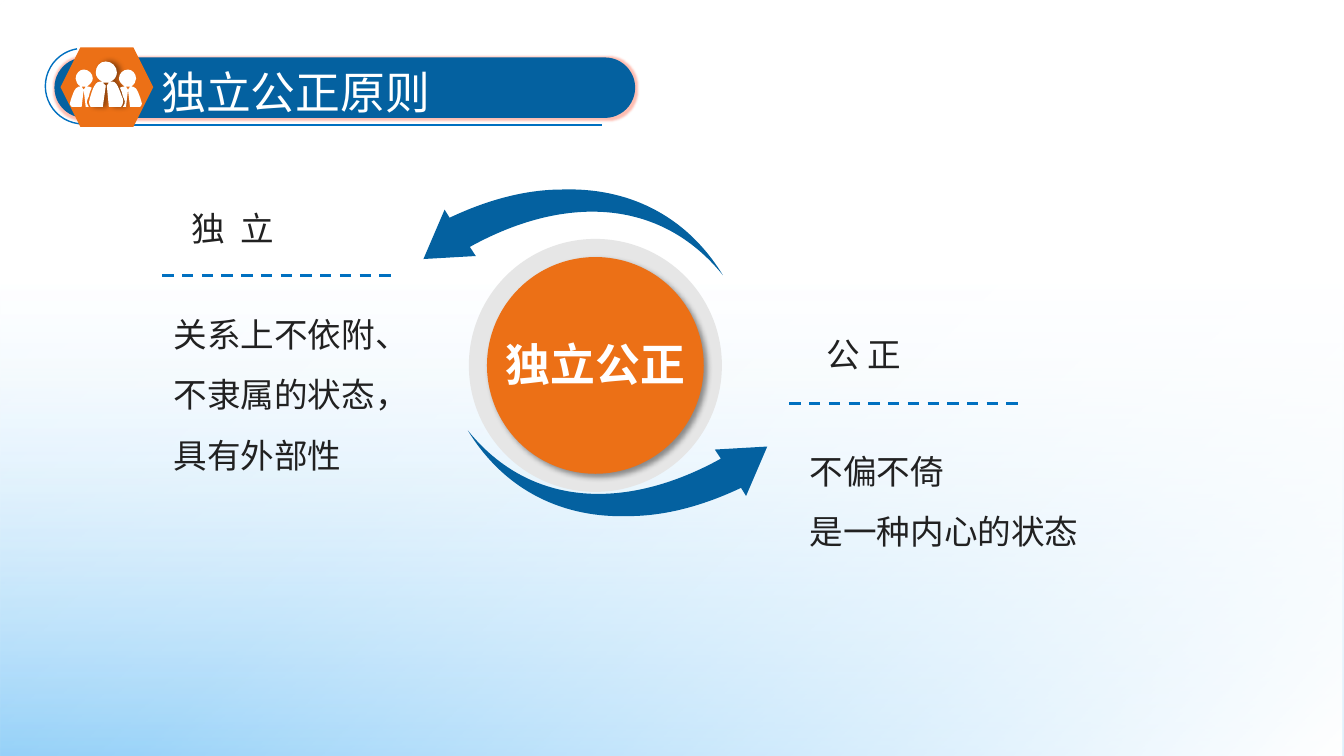
from dataclasses import dataclass

import pptx
import pptx.dml.color
import pptx.enum.dml
import pptx.enum.shapes
import pptx.enum.text
import pptx.oxml
import pptx.oxml.ns
import pptx.util
from pptx.util import Inches


@dataclass(frozen=True)
class Theme:
    blue: str = "0461A0"
    line_blue: str = "0070C0"
    sky: str = "67BDF6"
    orange: str = "EC7016"
    grey: str = "E6E6E6"
    white: str = "FFFFFF"
    ink: str = "212121"
    shade: str = "000000"
    glow: str = "FF5A3C"
    title_size: int = 32
    text_size: int = 24
    title_font: str = "Times New Roman"
    text_font: str = "Noto Sans CJK SC"


theme = Theme()
rgb = pptx.dml.color.RGBColor.from_string
qn = pptx.oxml.ns.qn
SHAPE = pptx.enum.shapes.MSO_SHAPE
ALIGN = pptx.enum.text.PP_ALIGN
NS = pptx.oxml.ns.nsdecls("a")


def paint(shape, colour, effect=""):
    """Give a flat fill without outline, and at most one effect."""
    shape.shadow.inherit = False
    shape.fill.solid()
    shape.fill.fore_color.rgb = rgb(colour)
    shape.line.fill.background()
    if effect:
        shape._element.spPr.find(qn("a:effectLst")).append(pptx.oxml.parse_xml(effect))


def reflect(outline, x_sum, y_sum=None):
    """Mirror an outline left to right, and also top to bottom when y_sum is given."""
    return [tuple(x_sum - value if place % 2 == 0 else value if y_sum is None else y_sum - value
                  for place, value in enumerate(segment)) for segment in outline]


soft_shadow = (
    f'<a:outerShdw {NS} blurRad="50800" dist="38100" dir="{{angle}}" algn="ctr" rotWithShape="0">'
    f'<a:srgbClr val="{theme.shade}"><a:alpha val="40000"/></a:srgbClr></a:outerShdw>')
pill_glow = (f'<a:glow {NS} rad="38100"><a:srgbClr val="{theme.glow}">'
             f'<a:alpha val="40000"/></a:srgbClr></a:glow>')

deck = pptx.Presentation()
deck.slide_width, deck.slide_height = Inches(13.33), Inches(7.5)
slide = deck.slides.add_slide(deck.slide_layouts.get_by_name("Comparison"))
shapes = slide.shapes
title, left_head, left_body, right_head, right_body = slide.placeholders

# Background washes: angle in degrees, then stops of position, colour and opacity
washes = [
    (90, [(0, theme.white, 0), (37, theme.white, 25), (100, theme.sky, 88)]),
    (45, [(0, theme.white, 0), (42, theme.white, 25), (100, theme.white, 100)]),
]
for angle, stops in washes:
    wash = shapes.add_shape(SHAPE.RECTANGLE, 0, 0, deck.slide_width, deck.slide_height)
    paint(wash, theme.white)
    stop_xml = "".join(
        f'<a:gs pos="{position * 1000}"><a:srgbClr val="{colour}">'
        f'<a:alpha val="{opacity * 1000}"/></a:srgbClr></a:gs>'
        for position, colour, opacity in stops)
    gradient = pptx.oxml.parse_xml(
        f'<a:gradFill {NS} rotWithShape="1"><a:gsLst>{stop_xml}</a:gsLst>'
        f'<a:lin ang="{angle * 60000}" scaled="0"/></a:gradFill>')
    properties = wash._element.spPr
    properties.replace(properties.find(qn("a:solidFill")), gradient)

# Straight rules: left, top, length, width, dashed
for x, y, length, width, dashed in [(0.83, 1.24, 5.14, 1, False),
                                    (1.61, 2.73, 2.29, 2, True),
                                    (7.83, 4, 2.29, 2, True)]:
    rule = shapes.add_connector(pptx.enum.shapes.MSO_CONNECTOR.STRAIGHT,
                                Inches(x), Inches(y), Inches(x + length), Inches(y))
    rule.line.color.rgb = rgb(theme.line_blue)
    rule.line.width = pptx.util.Pt(width)
    if dashed:
        rule.line.dash_style = pptx.enum.dml.MSO_LINE.DASH
    rule._element.spPr.append(pptx.oxml.parse_xml(f"<a:effectLst {NS}/>"))

# Title banner
bracket = shapes.add_shape(SHAPE.ARC, Inches(0.45), Inches(0.48), Inches(0.75), Inches(0.75))
bracket.adjustments[0], bracket.adjustments[1] = 53.91, 156.32
bracket.shadow.inherit = False
bracket.fill.background()
bracket.line.color.rgb = rgb(theme.line_blue)
bracket.line.width = pptx.util.Pt(1)

pill = shapes.add_shape(SHAPE.ROUNDED_RECTANGLE, Inches(0.54), Inches(0.57), Inches(5.76), Inches(0.6))
pill.adjustments[0] = 0.5
paint(pill, theme.blue, pill_glow)
badge = shapes.add_shape(SHAPE.HEXAGON, Inches(0.6), Inches(0.47), Inches(0.92), Inches(0.79))
paint(badge, theme.orange)

# Outlines: a pair is a corner, six numbers are two curve controls and an end
leader = [
    (1.22, 0.98), (1.2, 0.95, 1.17, 0.81, 1.12, 0.81), (1.09, 0.81),
    (1.13, 0.8, 1.16, 0.76, 1.16, 0.72), (1.16, 0.66, 1.11, 0.61, 1.05, 0.61),
    (0.99, 0.61, 0.95, 0.66, 0.95, 0.72), (0.95, 0.76, 0.98, 0.8, 1.02, 0.81),
    (0.99, 0.81), (0.93, 0.81, 0.9, 0.95, 0.89, 0.98), (0.87, 1.03, 0.9, 1.06, 0.9, 1.06),
    (1.02, 1.06), (1.05, 0.85), (1.02, 0.82), (1.08, 0.82), (1.06, 0.85), (1.08, 1.06),
    (1.2, 1.06), (1.2, 1.06, 1.23, 1.03, 1.22, 0.98)]
right_member = [
    (1.4, 1), (1.39, 0.97, 1.36, 0.86, 1.32, 0.86), (1.3, 0.86),
    (1.33, 0.84, 1.35, 0.81, 1.35, 0.78), (1.35, 0.73, 1.31, 0.69, 1.27, 0.69),
    (1.22, 0.69, 1.18, 0.73, 1.18, 0.78), (1.18, 0.81, 1.21, 0.84, 1.24, 0.86),
    (1.22, 0.86), (1.21, 0.86, 1.2, 0.86, 1.19, 0.87), (1.2, 0.9, 1.22, 0.93, 1.22, 0.96),
    (1.23, 0.98), (1.25, 1.02, 1.23, 1.04, 1.22, 1.06), (1.25, 1.06), (1.27, 0.89),
    (1.25, 0.86), (1.29, 0.86), (1.27, 0.89), (1.29, 1.06), (1.39, 1.06),
    (1.39, 1.06, 1.42, 1.04, 1.4, 1)]
top_arrow = [
    (5.58, 1.88), (6.2, 1.86, 6.79, 2.11, 7.17, 2.73), (6.54, 1.95, 5.58, 1.94, 4.66, 2.45),
    (4.72, 2.54), (4.2, 2.57), (4.41, 2.08), (4.46, 2.16),
    (4.82, 1.99, 5.2, 1.88, 5.58, 1.88)]

for outline, colour, effect in [(leader, theme.white, soft_shadow.format(angle=0)),
                                (reflect(right_member, 2.1), theme.white, ""),
                                (right_member, theme.white, ""),
                                (top_arrow, theme.blue, ""),
                                (reflect(top_arrow, 11.81, 7), theme.blue, "")]:
    corners = [(Inches(segment[-2]), Inches(segment[-1])) for segment in outline]
    builder = shapes.build_freeform(*corners[0])
    builder.add_line_segments(corners[1:], close=True)
    figure = builder.convert_to_shape()
    straights = list(figure._element.iter(qn("a:lnTo")))
    for straight, segment in zip(straights, outline[1:]):
        if len(segment) == 6:
            knots = "".join(
                f'<a:pt x="{Inches(x) - figure.left}" y="{Inches(y) - figure.top}"/>'
                for x, y in zip(segment[::2], segment[1::2]))
            straight.getparent().replace(straight, pptx.oxml.parse_xml(
                f"<a:cubicBezTo {NS}>{knots}</a:cubicBezTo>"))
    paint(figure, colour, effect)

# Central disc
ring = shapes.add_shape(SHAPE.OVAL, Inches(4.65), Inches(2.37), Inches(2.51), Inches(2.51))
paint(ring, theme.grey)
disc = shapes.add_shape(SHAPE.OVAL, Inches(4.83), Inches(2.55), Inches(2.15), Inches(2.15))
paint(disc, theme.orange, soft_shadow.format(angle=45 * 60000))
core = shapes.add_textbox(Inches(4.29), Inches(3.4), Inches(3.23), Inches(0.5))
core.text_frame.word_wrap = True
core.text_frame.margin_top = core.text_frame.margin_bottom = 0
core.text_frame.text = "独立公正"
core.text_frame.paragraphs[0].alignment = ALIGN.CENTER
core.text_frame.paragraphs[0].line_spacing = 0.9

# Wording: placeholder, box, text, line spacing
for holder, box, wording, spacing in [
        (title, (1.5, 0.59, 5.21, 0.64), "独立公正原则", 1),
        (left_head, (1.8, 2.01, 1.2, 0.5), "独 立", 1),
        (left_body, (1.62, 2.86, 2.6, 1.92), "关系上不依附、\n不隶属的状态，\n具有外部性", 1.5),
        (right_head, (8.1, 3.26, 1.03, 0.5), "公 正", 1),
        (right_body, (7.93, 4.22, 2.9, 1.31), "不偏不倚\n是一种内心的状态", 1.5)]:
    shapes._spTree.append(holder._element)
    holder.left, holder.top, holder.width, holder.height = map(Inches, box)
    holder.text_frame.text = wording
    holder.text_frame.auto_size = pptx.enum.text.MSO_AUTO_SIZE.NONE
    holder.text_frame.vertical_anchor = pptx.enum.text.MSO_ANCHOR.TOP
    for paragraph in holder.text_frame.paragraphs:
        paragraph.alignment = ALIGN.LEFT
        paragraph.line_spacing = spacing
        paragraph.space_before = pptx.util.Pt(0)
        indents = paragraph._p.get_or_add_pPr()
        indents.set("marL", "0")
        indents.set("indent", "0")
        indents.append(pptx.oxml.parse_xml(f"<a:buNone {NS}/>"))

for part, face, size, colour, bold in [
        (title, theme.title_font, theme.title_size, theme.white, False),
        (core, theme.text_font, theme.title_size, theme.white, True),
        *((part, theme.text_font, theme.text_size, theme.ink, False)
          for part in (left_head, left_body, right_head, right_body))]:
    for paragraph in part.text_frame.paragraphs:
        for run in paragraph.runs:
            run.font.name, run.font.size, run.font.bold = face, pptx.util.Pt(size), bold
            run.font.color.rgb = rgb(colour)
            run.font._element.find(qn("a:latin")).addnext(
                pptx.oxml.parse_xml(f'<a:ea {NS} typeface="{theme.text_font}"/>'))
# The left heading is set wider than the right one
left_head.text_frame.paragraphs[0].runs[0].font._element.set("spc", "270")

deck.save("out.pptx")
